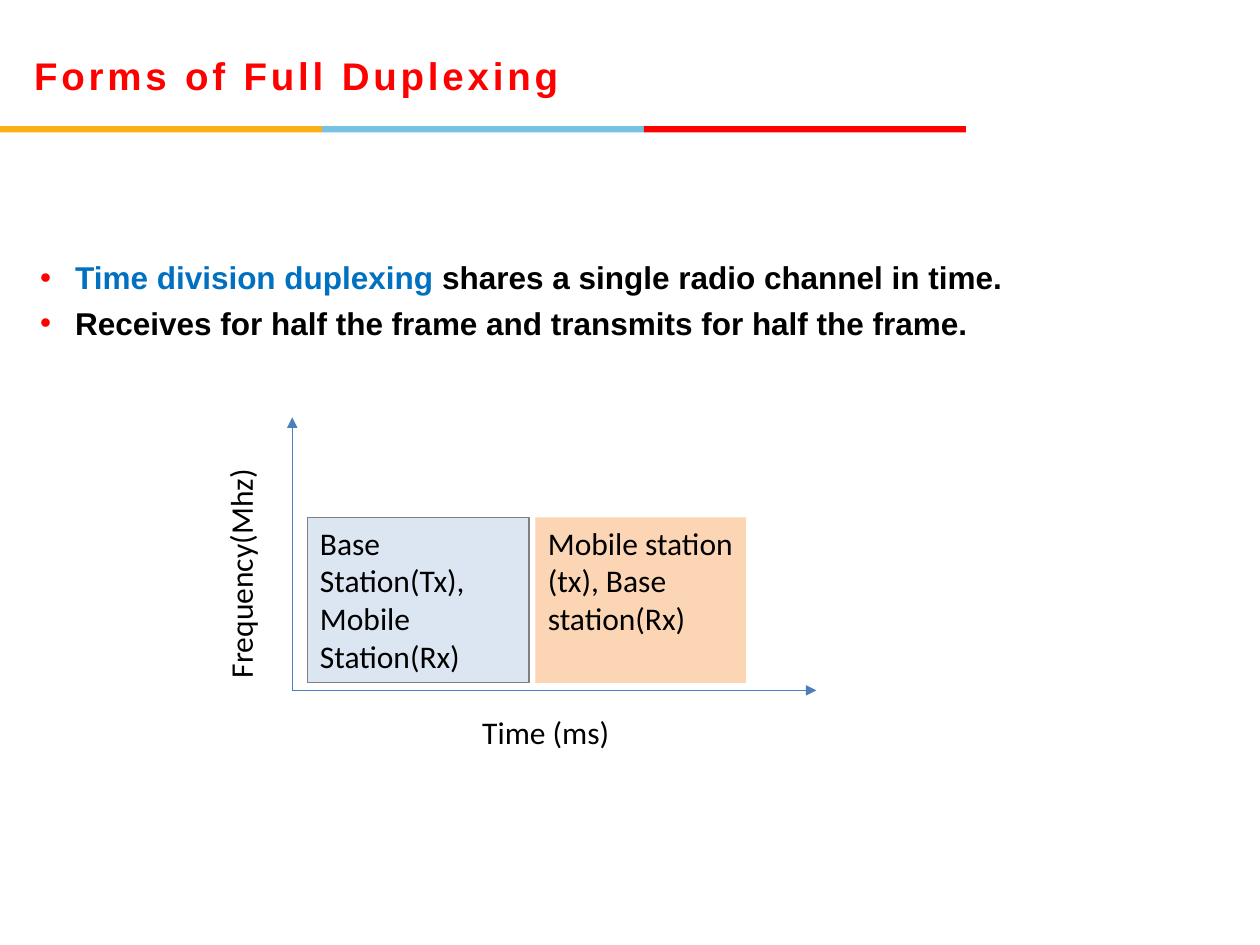
import pptx
import pptx.dml.color
import pptx.enum.shapes
import pptx.enum.text
import pptx.oxml
import pptx.oxml.ns
import pptx.util

Pt = pptx.util.Pt
ANCHOR = pptx.enum.text.MSO_ANCHOR
ALIGN = pptx.enum.text.PP_ALIGN
RECTANGLE = pptx.enum.shapes.MSO_SHAPE.RECTANGLE
STRAIGHT = pptx.enum.shapes.MSO_CONNECTOR.STRAIGHT

RED, BLACK = "FF0000", "000000"
HEADING = {"name": "Arial", "size": Pt(22), "bold": True}
BULLET_TEXT = {"name": "Arial", "size": Pt(18), "bold": True}
LABEL = {"name": "Calibri", "size": Pt(18), "bold": False}


def rgb(value):
    return pptx.dml.color.RGBColor.from_string(value)


def add_xml(parent, tag, attributes):
    element = pptx.oxml.parse_xml(f"<a:{tag} {pptx.oxml.ns.nsdecls('a')} {attributes}/>")
    parent.append(element)


def add_span(para, text, style, color=BLACK):
    span = para.add_run()
    span.text = text
    for name, value in style.items():
        setattr(span.font, name, value)
    span.font.color.rgb = rgb(color)
    return span


def add_box(page, left, top, width, height, **frame_format):
    box = page.shapes.add_textbox(Pt(left), Pt(top), Pt(width), Pt(height))
    box.text_frame.word_wrap = True
    for name, value in frame_format.items():
        setattr(box.text_frame, name, value)
    return box


def add_rectangle(page, left, top, width, height, fill, line=None):
    box = page.shapes.add_shape(RECTANGLE, Pt(left), Pt(top), Pt(width), Pt(height))
    box.shadow.inherit = False
    box.fill.solid()
    box.fill.fore_color.rgb = rgb(fill)
    if line:
        box.line.color.rgb = rgb(line)
        box.line.width = Pt(0.75)
    else:
        box.line.fill.background()
    return box


def add_header(page, left, top, width):
    # Title
    box = add_box(page, left + 19.5, top + 12.5, 515, 61, margin_left=0, margin_right=0,
                  margin_top=0, margin_bottom=0, vertical_anchor=ANCHOR.MIDDLE)
    span = add_span(box.text_frame.paragraphs[0], "Forms of Full Duplexing", HEADING, RED)
    span.font._element.set("spc", "220")
    # Three-colour rule
    band = width / 3
    for index, color in enumerate(("FCB017", "76C2E5", RED)):
        add_rectangle(page, left + index * band, top + 72, band, 3.6, color)


def add_bullets(page, left, top, width, height):
    items = (
        (("Time division duplexing", "0070C0"),
         (" shares a single radio channel in time.", BLACK)),
        (("Receives for half the frame and transmits for half the frame.", BLACK),),
    )
    frame = add_box(page, left, top, width, height, margin_left=0, margin_right=0).text_frame
    for index, spans in enumerate(items):
        para = frame.add_paragraph() if index else frame.paragraphs[0]
        para.alignment = ALIGN.JUSTIFY
        para.space_before = Pt(4.5 if index else 0)
        properties = para._p.get_or_add_pPr()
        properties.set("marL", str(Pt(20)))
        properties.set("indent", str(Pt(-20)))
        color = pptx.oxml.parse_xml(
            f'<a:buClr {pptx.oxml.ns.nsdecls("a")}><a:srgbClr val="{RED}"/></a:buClr>')
        properties.append(color)
        add_xml(properties, "buFont", 'typeface="Arial"')
        add_xml(properties, "buChar", 'char="•"')
        for text, text_color in spans:
            add_span(para, text, BULLET_TEXT, text_color)


def add_axis(page, start, end):
    axis = page.shapes.add_connector(STRAIGHT, *(Pt(value) for value in start + end))
    axis.line.color.rgb = rgb("4B7EBC")
    axis.line.width = Pt(0.75)
    add_xml(axis.line._get_or_add_ln(), "tailEnd", 'type="triangle"')
    add_xml(axis._element.spPr, "effectLst", "")


def add_chart_sketch(page, left, top, width, height):
    # Axes from a shared origin
    bottom = top + height
    origin = (left, bottom)
    add_axis(page, origin, (left, top))
    add_axis(page, origin, (left + width, bottom))
    # Time slots
    slots = (
        (8.75, 126.5, "Base Station(Tx), Mobile Station(Rx)", "DCE6F2", "808080"),
        (139, 120.25, "Mobile station (tx), Base station(Rx)", "FCD5B5", None),
    )
    for offset, slot_width, text, fill, line in slots:
        box = add_rectangle(page, left + offset, bottom - 98.75, slot_width, 94.5, fill, line)
        box.text_frame.word_wrap = True
        box.text_frame.vertical_anchor = ANCHOR.TOP
        para = box.text_frame.paragraphs[0]
        para.alignment = ALIGN.LEFT
        add_span(para, text, LABEL)
    # Axis names
    names = (
        ("Time (ms)", left + 101.5, bottom + 9.25, 0),
        ("Frequency(Mhz)", left - 101.5, bottom - 86.5, 270),
    )
    for text, name_left, name_top, rotation in names:
        box = add_box(page, name_left, name_top, 144, 29)
        box.rotation = rotation
        add_span(box.text_frame.paragraphs[0], text, LABEL)


def main():
    deck = pptx.Presentation()
    deck.slide_width, deck.slide_height = Pt(720), Pt(540)
    page = deck.slides.add_slide(deck.slide_layouts[6])
    add_header(page, 0, 0, 552)
    add_bullets(page, 23, 144, 648, 73.5)
    add_chart_sketch(page, 167, 238.5, 299.5, 156)
    deck.save("out.pptx")


if __name__ == "__main__":
    main()
